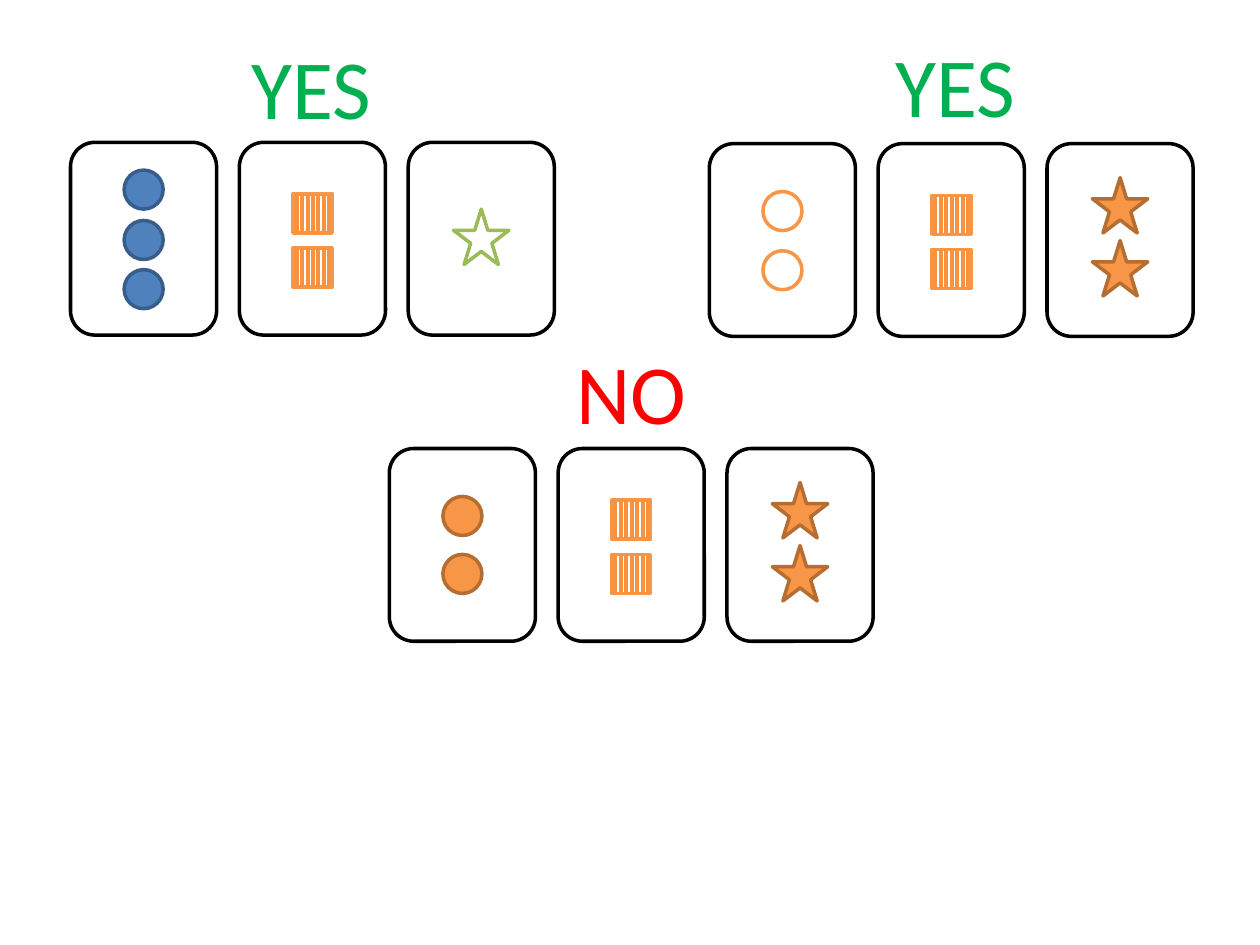
from lxml import etree
from pptx import Presentation
from pptx.dml.color import RGBColor
from pptx.enum import shapes, text
from pptx.oxml.ns import qn
from pptx.util import Inches, Pt

WHITE, BLACK, ORANGE, STRIPE = "FFFFFF", "000000", "F79646", "F69240"
BLUE_SOLID = ("4F81BD", "385D8A")
ORANGE_SOLID = (ORANGE, "B66D31")
ORANGE_OPEN = (WHITE, ORANGE)
GREEN_OPEN = (WHITE, "9BBB59")

CARD_W, CARD_H, CARD_PITCH = 1.16, 1.53, 1.34
STRIPES, STRIPE_START, STRIPE_GAP = 7, 0.03, 0.043
KINDS = {  # preset shape, size
    "circle": (shapes.MSO_SHAPE.OVAL, 0.31),
    "square": (shapes.MSO_SHAPE.RECTANGLE, 0.31),
    "star": (shapes.MSO_SHAPE.STAR_5_POINT, 0.44),
}

# Each card: symbol, (fill, line), tops of the symbols below the card's top
SQUARES = ("square", ORANGE_OPEN, (0.41, 0.84))
STARS = ("star", ORANGE_SOLID, (0.27, 0.77))
SETS = [
    {"at": (0.56, 1.13), "label": ("YES", "00B050", 1.9, 0.23, 1.15),
     "cards": [("circle", BLUE_SOLID, (0.22, 0.62, 1.01)), SQUARES,
               ("star", GREEN_OPEN, (0.53,))]},
    {"at": (5.63, 1.14), "label": ("YES", "00B050", 7.01, 0.22, 1.15),
     "cards": [("circle", ORANGE_OPEN, (0.38, 0.85)), SQUARES, STARS]},
    {"at": (3.09, 3.56), "label": ("NO", "FF0000", 4.48, 2.65, 1.07),
     "cards": [("circle", ORANGE_SOLID, (0.38, 0.84)), SQUARES, STARS]},
]


def rgb(value):
    return RGBColor.from_string(value)


def add_shape(group, preset, x, y, w, h, fill, line):
    sp = group.shapes.add_shape(preset, *map(Inches, (x, y, w, h)))
    sp.shadow.inherit = False
    sp.fill.solid()
    sp.fill.fore_color.rgb = rgb(fill)
    sp.line.color.rgb = rgb(line)
    sp.line.width = Pt(2)


def add_stripes(group, x, y, h):
    for i in range(STRIPES):
        sx = Inches(x + STRIPE_START + i * STRIPE_GAP)
        c = group.shapes.add_connector(
            shapes.MSO_CONNECTOR.STRAIGHT, sx, Inches(y), sx, Inches(y + h))
        c.line.color.rgb = rgb(STRIPE)
        c.line.width = Pt(2.25)
        etree.SubElement(c._element.spPr, qn("a:effectLst"))


def add_card(group, x, y, kind, colors, tops):
    add_shape(group, shapes.MSO_SHAPE.ROUNDED_RECTANGLE,
              x, y, CARD_W, CARD_H, WHITE, BLACK)
    preset, size = KINDS[kind]
    left = x + (CARD_W - size) / 2
    for top in tops:
        add_shape(group, preset, left, y + top, size, size, *colors)
        if kind == "square":
            add_stripes(group, left, y + top, size)


def add_label(s, words, color, x, y, w):
    tf = s.shapes.add_textbox(*map(Inches, (x, y, w, 0.9))).text_frame
    tf.word_wrap = False
    tf.auto_size = text.MSO_AUTO_SIZE.SHAPE_TO_FIT_TEXT
    p = tf.paragraphs[0]
    p.text = words
    p.font.name = "Calibri"
    p.font.size = Pt(48)
    p.font.color.rgb = rgb(color)


def main():
    prs = Presentation()
    prs.slide_width, prs.slide_height = Inches(10), Inches(7.5)
    s = prs.slides.add_slide(prs.slide_layouts[6])
    for card_set in SETS:
        x, y = card_set["at"]
        group = s.shapes.add_group_shape()
        for i, card in enumerate(card_set["cards"]):
            add_card(group, x + i * CARD_PITCH, y, *card)
    for card_set in SETS:
        add_label(s, *card_set["label"])
    prs.save("out.pptx")


if __name__ == "__main__":
    main()
